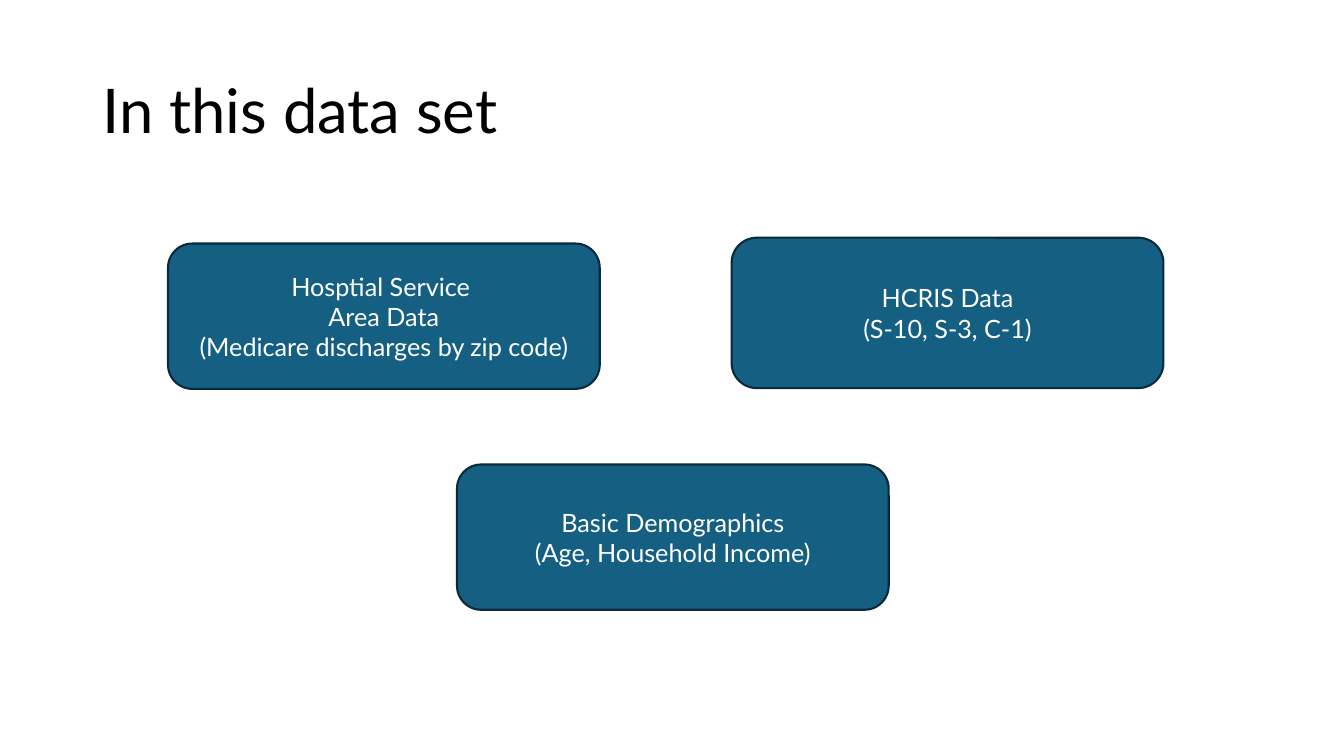
import pptx
import pptx.util
import pptx.dml.color
import pptx.enum.shapes
import pptx.enum.text

ALIGN = pptx.enum.text.PP_ALIGN
ANCHOR = pptx.enum.text.MSO_ANCHOR


def rgb(value):
    return pptx.dml.color.RGBColor.from_string(value)


def write(tf, text, font="Lato", size=18, color="FFFFFF", align=ALIGN.CENTER, spacing=1.0):
    tf.word_wrap = True
    tf.auto_size = pptx.enum.text.MSO_AUTO_SIZE.NONE
    tf.vertical_anchor = ANCHOR.MIDDLE
    for i, line in enumerate(text.split("\n")):
        p = tf.add_paragraph() if i else tf.paragraphs[0]
        p.alignment = align
        p.line_spacing = spacing
        p.space_before = pptx.util.Pt(0)
        r = p.add_run()
        r.text = line
        r.font.name = font
        r.font.size = pptx.util.Pt(size)
        r.font.color.rgb = rgb(color)


class Deck:
    COLS, ROWS = 160, 90
    FILL, LINE, TITLE = "156082", "092A39", "000000"

    def __init__(self):
        self.prs = pptx.Presentation()
        self.prs.slide_width = pptx.util.Inches(13.33)
        self.prs.slide_height = pptx.util.Inches(7.5)
        self.s = self.prs.slides.add_slide(self.prs.slide_layouts[5])

    def cells(self, col, row, cols, rows):
        w = self.prs.slide_width / self.COLS
        h = self.prs.slide_height / self.ROWS
        return [round(v) for v in (col * w, row * h, cols * w, rows * h)]

    def title(self, text, *grid):
        sp = self.s.shapes.title
        sp.left, sp.top, sp.width, sp.height = self.cells(*grid)
        write(sp.text_frame, text, size=44, color=self.TITLE, align=ALIGN.LEFT, spacing=0.9)

    def card(self, text, *grid):
        kind = pptx.enum.shapes.MSO_SHAPE.ROUNDED_RECTANGLE
        sp = self.s.shapes.add_shape(kind, *self.cells(*grid))
        sp.shadow.inherit = False
        sp.fill.solid()
        sp.fill.fore_color.rgb = rgb(self.FILL)
        sp.line.color.rgb = rgb(self.LINE)
        sp.line.width = pptx.util.Pt(1.5)
        write(sp.text_frame, text)


def main():
    deck = Deck()
    deck.title("In this data set", 11, 4.8, 138, 17.4)
    card_cols, card_rows = 51.4, 17.3
    sources = [
        ("Hosptial Service \nArea Data\n(Medicare discharges by zip code)", 20, 29, card_rows),
        ("HCRIS Data\n(S-10, S-3, C-1)", 87.1, 28.3, 17.9),
        ("Basic Demographics\n(Age, Household Income)", 54.4, 55.3, card_rows),
    ]
    for text, col, row, rows in sources:
        deck.card(text, col, row, card_cols, rows)
    deck.prs.save("out.pptx")


if __name__ == "__main__":
    main()
